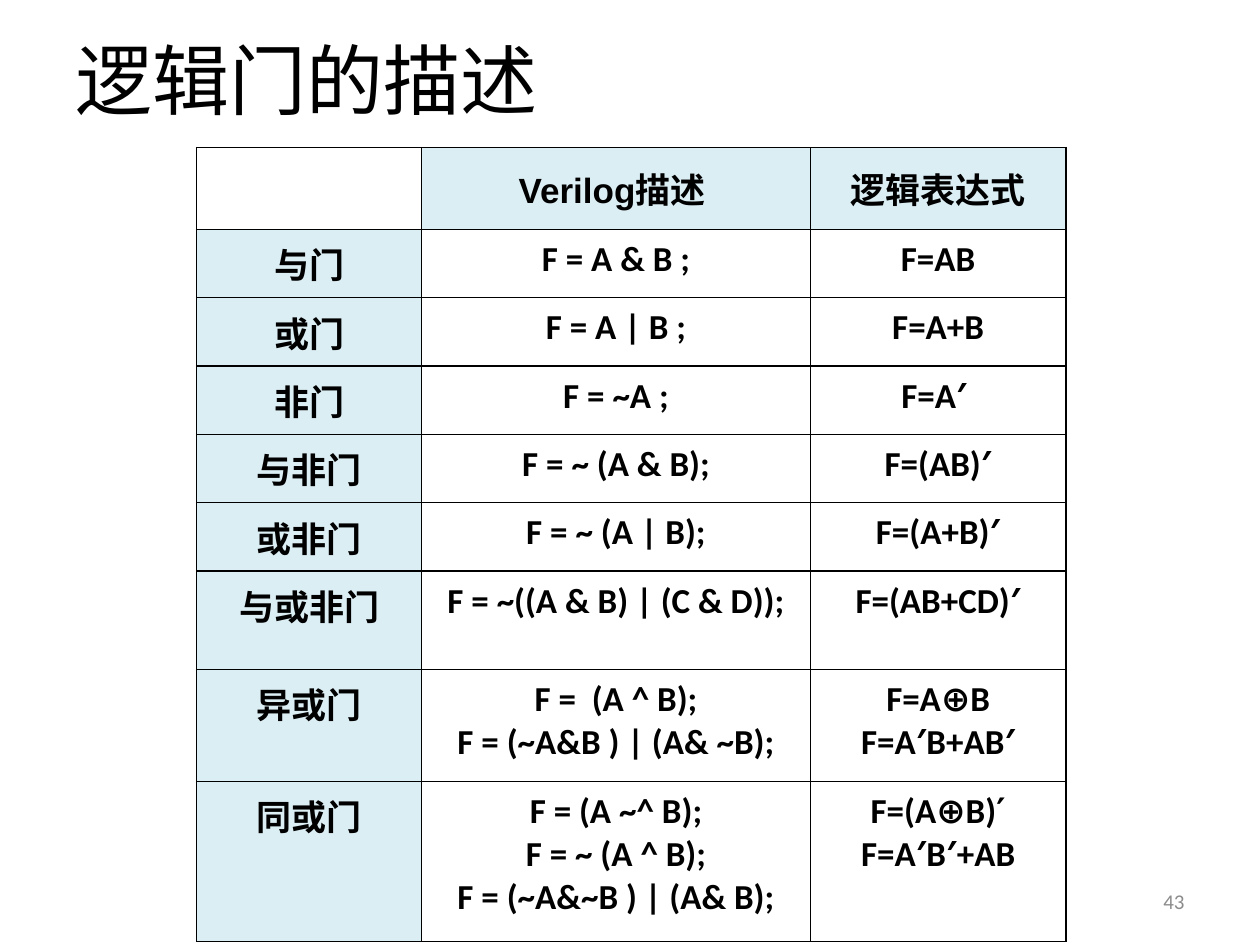
from dataclasses import dataclass

from lxml.etree import SubElement
from pptx import Presentation
from pptx.dml.color import RGBColor as RGB
from pptx.enum.text import MSO_ANCHOR as Anchor, PP_ALIGN as Align
from pptx.oxml.ns import qn
from pptx.util import Pt


@dataclass(frozen=True)
class Theme:
    ink: RGB = RGB(0, 0, 0)
    muted: RGB = RGB(0x8C, 0x8C, 0x8C)
    label_fill: RGB = RGB(0xDB, 0xEE, 0xF4)
    title_size: int = 44
    table_size: int = 20
    number_size: int = 12
    body_font: str = "Calibri"
    label_font: str = "Arial"


THEME = Theme()

COLUMN_WIDTHS = (128.6, 222.2, 145.9)
ROW_HEIGHTS = (46.8, *[36.7] * 5, 56.2, 64.1, 91.4)
CELL_FORMAT = {
    "margin_left": Pt(7.2), "margin_right": Pt(7.2),
    "margin_top": Pt(5), "margin_bottom": Pt(5),
}
GATES = (
    ("", "Verilog描述 ", "逻辑表达式"),
    ("与门", "F = A & B ;", "F=AB"),
    ("或门", "F = A | B ;", "F=A+B"),
    ("非门", "F = ~A ;", "F=A′ "),
    ("与非门", "F = ~ (A & B);", "F=(AB)′"),
    ("或非门", "F = ~ (A | B);", "F=(A+B)′"),
    ("与或非门", "F = ~((A & B) | (C & D));", "F=(AB+CD)′"),
    ("异或门", "F =  (A ^ B);\nF = (~A&B ) | (A& ~B);", "F=A⊕B\nF=A′B+AB′"),
    ("同或门", "F = (A ~^ B);\nF = ~ (A ^ B);\nF = (~A&~B ) | (A& B);",
     "F=(A⊕B)′\nF=A′B′+AB"),
)


def write(frame, text, size, font, color, align, bold=False):
    frame.text = text
    font_format = {"size": Pt(size), "name": font, "bold": bold}
    for paragraph in frame.paragraphs:
        paragraph.alignment = align
        for run in paragraph.runs:
            for name, value in font_format.items():
                setattr(run.font, name, value)
            run.font.color.rgb = color


def add_line_of_text(slide, box, text, size, color, align):
    frame = slide.shapes.add_textbox(*map(Pt, box)).text_frame
    frame.word_wrap = True
    frame.vertical_anchor = Anchor.MIDDLE
    write(frame, text, size, THEME.body_font, color, align)


def add_borders(cell):
    properties = cell._tc.get_or_add_tcPr()
    for side in ("a:lnL", "a:lnR", "a:lnT", "a:lnB"):
        line = SubElement(properties, qn(side), w=str(Pt(1)))
        fill = SubElement(line, qn("a:solidFill"))
        SubElement(fill, qn("a:srgbClr"), val=str(THEME.ink))


def add_gate_table(slide, box):
    table = slide.shapes.add_table(
        len(GATES), len(COLUMN_WIDTHS), *map(Pt, box)).table
    table.first_row = table.horz_banding = False
    for column, width in zip(table.columns, COLUMN_WIDTHS):
        column.width = Pt(width)
    for r, (gate, height) in enumerate(zip(GATES, ROW_HEIGHTS)):
        table.rows[r].height = Pt(height)
        for c, text in enumerate(gate):
            cell = table.cell(r, c)
            for name, value in CELL_FORMAT.items():
                setattr(cell, name, value)
            cell.vertical_anchor = Anchor.TOP if r else Anchor.MIDDLE
            is_label = r == 0 or c == 0
            add_borders(cell)
            # Headings and gate names are tinted; the corner stays clear
            if is_label and text:
                cell.fill.solid()
                cell.fill.fore_color.rgb = THEME.label_fill
            else:
                cell.fill.background()
            font = THEME.label_font if is_label else THEME.body_font
            write(cell.text_frame, text, THEME.table_size, font,
                  THEME.ink, Align.CENTER, bold=True)


def main():
    deck = Presentation()
    deck.slide_width, deck.slide_height = Pt(720), Pt(540)
    slide = deck.slides.add_slide(deck.slide_layouts[6])

    # Gate table, then title and page number
    add_gate_table(slide, (112.4, 84.3, sum(COLUMN_WIDTHS), sum(ROW_HEIGHTS)))
    add_line_of_text(slide, (36, 0, 648, 90), "逻辑门的描述",
                     THEME.title_size, THEME.ink, Align.LEFT)
    add_line_of_text(slide, (516, 500.5, 168, 28.75), "43",
                     THEME.number_size, THEME.muted, Align.RIGHT)
    deck.save("out.pptx")


if __name__ == "__main__":
    main()
